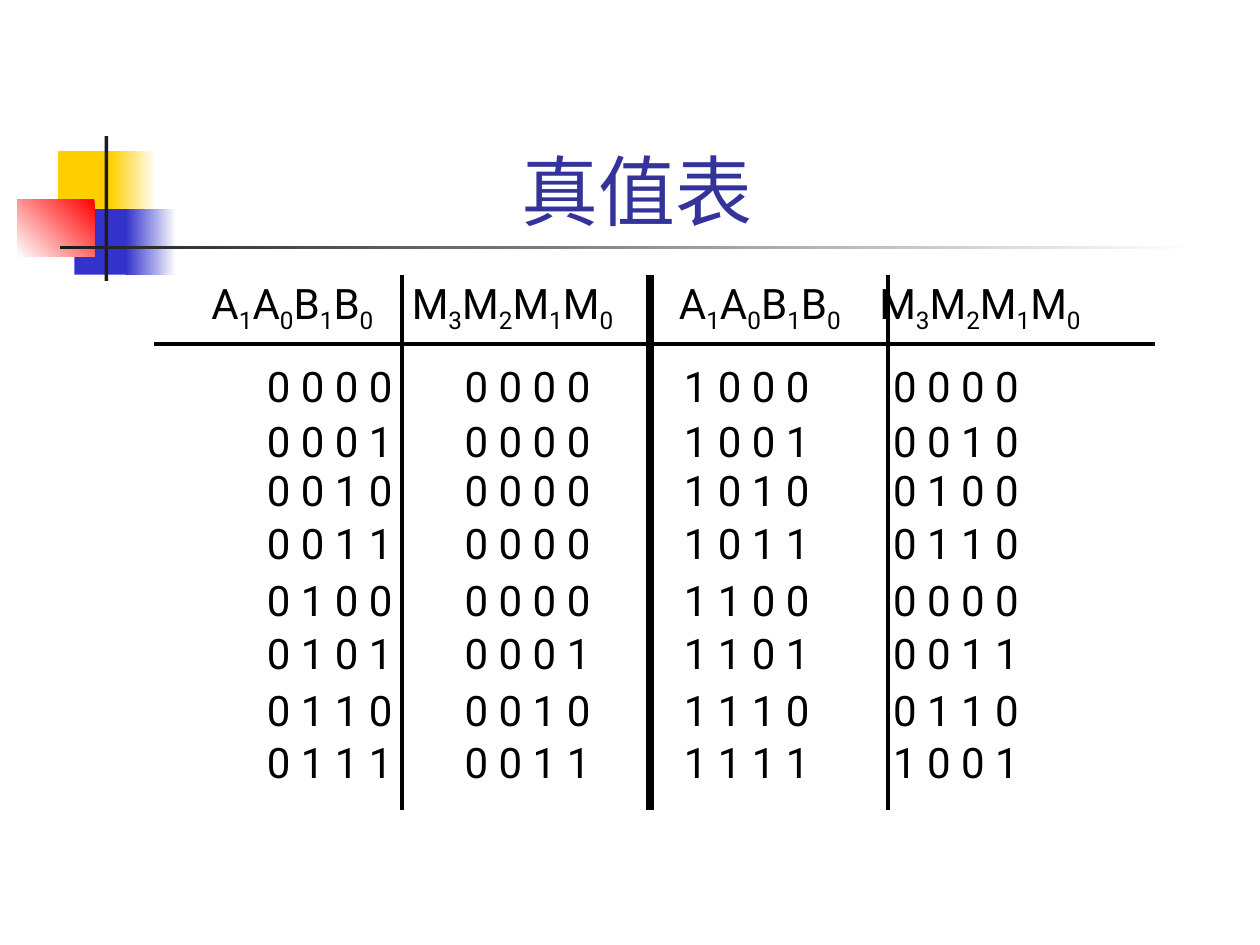
from dataclasses import dataclass

import lxml.etree
import pptx
import pptx.dml.color
import pptx.enum.shapes
import pptx.enum.text
import pptx.oxml.ns
import pptx.util

Inches = pptx.util.Inches
Pt = pptx.util.Pt
qn = pptx.oxml.ns.qn


@dataclass(frozen=True)
class Theme:
    font: str = "Roboto"
    title_size: int = 44
    body_size: int = 24
    title: str = "333399"
    ink: str = "000000"
    white: str = "FFFFFF"
    yellow: str = "FFCF01"
    blue: str = "3333CC"
    red: str = "FF0000"
    bar: str = "1C1C1C"


def rgb(value):
    return pptx.dml.color.RGBColor.from_string(value)


class SlideBuilder:
    def __init__(self, slide, theme):
        self.slide = slide
        self.theme = theme

    def block(self, left, top, width, height, *colors, angle=180):
        """Draw a rectangle: one colour is solid, two make a gradient."""
        shape = self.slide.shapes.add_shape(
            pptx.enum.shapes.MSO_SHAPE.RECTANGLE,
            Inches(left), Inches(top), Inches(width), Inches(height))
        shape.shadow.inherit = False
        shape.line.fill.background()
        if len(colors) == 1:
            shape.fill.solid()
            shape.fill.fore_color.rgb = rgb(colors[0])
        else:
            shape.fill.gradient()
            shape.fill.gradient_angle = angle
            for stop, color in zip(shape.fill.gradient_stops, colors):
                stop.color.rgb = rgb(color)

    def rule(self, x1, y1, x2, y2, weight=2.25):
        line = self.slide.shapes.add_connector(
            pptx.enum.shapes.MSO_CONNECTOR.STRAIGHT,
            Inches(x1), Inches(y1), Inches(x2), Inches(y2))
        line.line.color.rgb = rgb(self.theme.ink)
        line.line.width = Pt(weight)
        properties = line._element.find(qn("p:spPr"))
        lxml.etree.SubElement(properties, qn("a:effectLst"))

    def text(self, left, top, width, height, runs, size, color, tabs=()):
        """Add one line of text; runs are (text, is_subscript) pairs."""
        box = self.slide.shapes.add_textbox(
            Inches(left), Inches(top), Inches(width), Inches(height))
        box.text_frame.word_wrap = True
        paragraph = box.text_frame.paragraphs[0]
        if tabs:
            tab_list = lxml.etree.SubElement(
                paragraph._p.get_or_add_pPr(), qn("a:tabLst"))
            for position in tabs:
                lxml.etree.SubElement(tab_list, qn("a:tab"),
                                      pos=str(Inches(position)), algn="l")
        for content, subscript in runs:
            run = paragraph.add_run()
            run.text = content
            run.font.name = self.theme.font
            run.font.size = Pt(size)
            run.font.color.rgb = rgb(color)
            if subscript:
                run.font._element.set("baseline", "-25000")
        return box

    def title(self, content):
        box = self.text(1.26, 0.67, 7.6, 1.25, [(content, False)],
                        self.theme.title_size, self.theme.title)
        box.text_frame.vertical_anchor = pptx.enum.text.MSO_ANCHOR.BOTTOM
        box.text_frame.paragraphs[0].alignment = pptx.enum.text.PP_ALIGN.CENTER

    def table_line(self, left, top, width, height, runs, tabs):
        self.text(left, top, width, height, runs,
                  self.theme.body_size, self.theme.ink, tabs)


def header_runs():
    groups = ["A1A0B1B0", "M3M2M1M0"] * 2
    return [(char, char.isdigit()) for char in "\t".join(groups)]


def bits(number):
    return " ".join(f"{number:04b}")


def truth_row(inputs):
    """Two-bit multiplication: M = A x B."""
    a, b = divmod(inputs, 4)
    return [bits(inputs), bits(a * b)]


def main():
    theme = Theme()
    deck = pptx.Presentation()
    deck.slide_width, deck.slide_height = Inches(10), Inches(7.5)
    builder = SlideBuilder(deck.slides.add_slide(deck.slide_layouts[6]), theme)

    # Corner ornament
    builder.block(0.46, 1.2, 0.48, 0.52, theme.yellow)
    builder.block(0.88, 1.2, 0.36, 0.52, theme.white, theme.yellow)
    builder.block(0.59, 1.66, 0.46, 0.52, theme.blue)
    builder.block(1, 1.66, 0.4, 0.52, theme.white, theme.blue)
    builder.block(0.14, 1.58, 0.61, 0.46, theme.red, theme.white, angle=225)
    builder.block(0.83, 1.08, 0.03, 1.15, theme.bar)
    builder.block(0.48, 1.95, 9, 0.03, theme.white, theme.bar)

    builder.title("真值表")

    # Table rules, heavier between the two halves
    builder.rule(1.22, 2.73, 9.17, 2.73)
    for x, weight in [(3.19, 2.25), (5.16, 4.5), (7.05, 2.25)]:
        builder.rule(x, 2.18, x, 6.43, weight)

    # Header and rows: inputs 0-7 on the left, 8-15 on the right
    builder.table_line(1.58, 2.15, 7.32, 0.56, header_runs(),
                       tabs=(1.59, 3.71, 5.3))
    row_tops = [2.81, 3.25, 3.64, 4.06, 4.51, 4.93, 5.38, 5.8]
    for index, top in enumerate(row_tops):
        row = "\t".join(truth_row(index) + truth_row(index + 8))
        builder.table_line(2.02, top, 6.37, 0.5, [(row, False)],
                           tabs=(1.57, 3.31, 4.97))

    deck.save("out.pptx")


if __name__ == "__main__":
    main()
